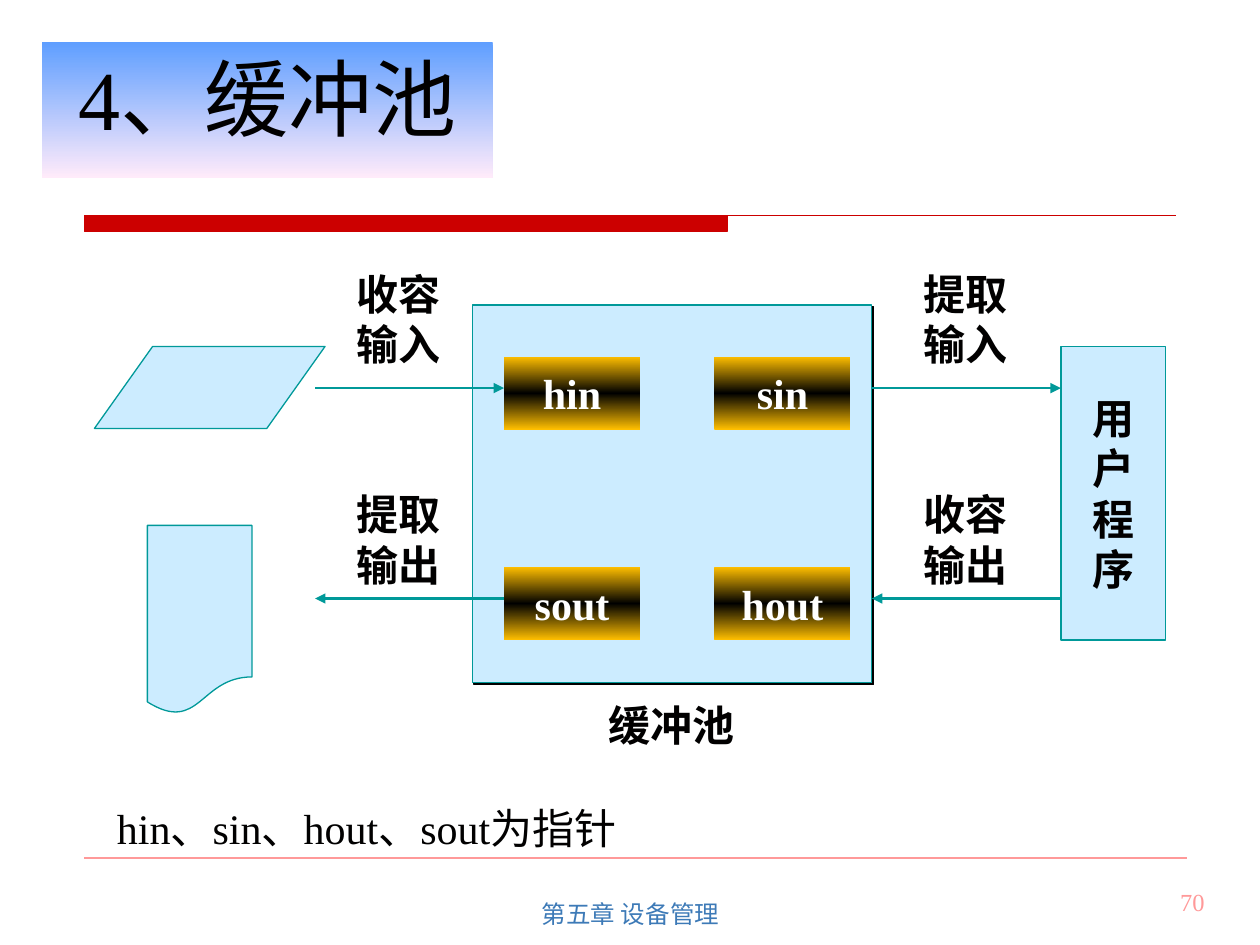
from copy import deepcopy
from dataclasses import dataclass

from lxml import etree
from pptx import Presentation
from pptx.dml.color import RGBColor
from pptx.enum.shapes import MSO_CONNECTOR, MSO_SHAPE
from pptx.enum.text import MSO_ANCHOR, MSO_AUTO_SIZE, PP_ALIGN
from pptx.oxml.ns import qn
from pptx.util import Inches, Pt

RECTANGLE = MSO_SHAPE.RECTANGLE
PARALLELOGRAM = MSO_SHAPE.PARALLELOGRAM
DOCUMENT = MSO_SHAPE.FLOWCHART_DOCUMENT
STRAIGHT = MSO_CONNECTOR.STRAIGHT
LEFT, CENTER, RIGHT = PP_ALIGN.LEFT, PP_ALIGN.CENTER, PP_ALIGN.RIGHT
TOP, MIDDLE = MSO_ANCHOR.TOP, MSO_ANCHOR.MIDDLE
NO_AUTOFIT = MSO_AUTO_SIZE.NONE


@dataclass(frozen=True)
class Theme:
    ink: str = "010000"
    white: str = "FFFFFF"
    pale_blue: str = "CCECFF"
    teal: str = "009999"
    red: str = "CC0000"
    pink: str = "FF9999"
    footer_blue: str = "3D7AB7"
    title_gradient: tuple[str, ...] = ("5E9EFF", "FFEBFA")
    pointer_gradient: tuple[str, ...] = ("FFBF00", "000000", "FFBF00")
    serif: str = "Times New Roman"
    sans: str = "Arial"
    title_size: int = 48
    body_size: int = 24
    small_size: int = 14
    thin: float = 0.75
    thick: float = 1.5


THEME = Theme()


@dataclass(frozen=True)
class Box:
    left: float
    top: float
    width: float
    height: float

    def lengths(self) -> tuple:
        return tuple(map(Inches, (self.left, self.top, self.width, self.height)))


@dataclass(frozen=True)
class TextStyle:
    size: int = THEME.body_size
    color: str = THEME.ink
    bold: bool = True
    font: str = THEME.serif
    align: PP_ALIGN = CENTER
    anchor: MSO_ANCHOR = TOP
    wrap: bool = True


@dataclass(frozen=True)
class Line:
    start: tuple[float, float]
    end: tuple[float, float]
    color: str = THEME.teal
    width: float = THEME.thick
    arrow: bool = True


def write(shape, text: str, style: TextStyle) -> None:
    frame = shape.text_frame
    frame.text = text
    frame.word_wrap = style.wrap
    frame.auto_size = NO_AUTOFIT
    frame.vertical_anchor = style.anchor
    for paragraph in frame.paragraphs:
        paragraph.alignment = style.align
        for run in paragraph.runs:
            run.font.name = style.font
            run.font.size = Pt(style.size)
            run.font.bold = style.bold
            run.font.color.rgb = RGBColor.from_string(style.color)


def fill_gradient(shape, colors: tuple[str, ...]) -> None:
    shape.fill.gradient()
    shape.fill.gradient_angle = 270
    stop_list = shape._element.spPr.find(".//" + qn("a:gsLst"))
    for _ in colors[2:]:
        stop_list.append(deepcopy(stop_list[-1]))
    for index, (stop, color) in enumerate(zip(shape.fill.gradient_stops, colors)):
        stop.position = index / (len(colors) - 1)
        stop.color.rgb = RGBColor.from_string(color)


def add_panel(slide, kind: MSO_SHAPE, box: Box,
              fill: str = THEME.pale_blue, outline: str = THEME.teal):
    shape = slide.shapes.add_shape(kind, *box.lengths())
    shape.shadow.inherit = False
    shape.fill.solid()
    shape.fill.fore_color.rgb = RGBColor.from_string(fill)
    shape.line.color.rgb = RGBColor.from_string(outline)
    shape.line.width = Pt(THEME.thin)
    return shape


def add_hard_shadow(shape) -> None:
    effects = shape._element.spPr.find(qn("a:effectLst"))
    shadow = etree.SubElement(effects, qn("a:outerShdw"), dist=str(Pt(1.4)),
                              dir="2700000", algn="ctr", rotWithShape="0")
    etree.SubElement(shadow, qn("a:srgbClr"), val=THEME.ink)


def add_pointer(slide, text: str, left: float, top: float) -> None:
    shape = slide.shapes.add_shape(RECTANGLE, *Box(left, top, 1.08, 0.58).lengths())
    shape.shadow.inherit = False
    fill_gradient(shape, THEME.pointer_gradient)
    shape.line.fill.background()
    write(shape, text, TextStyle(color=THEME.white, anchor=MIDDLE, wrap=False))


def add_text(slide, text: str, box: Box, style: TextStyle) -> None:
    write(slide.shapes.add_textbox(*box.lengths()), text, style)


def add_line(slide, line: Line) -> None:
    connector = slide.shapes.add_connector(
        STRAIGHT, *map(Inches, (*line.start, *line.end)))
    connector.line.color.rgb = RGBColor.from_string(line.color)
    connector.line.width = Pt(line.width)
    if line.arrow:
        etree.SubElement(connector.line._get_or_add_ln(), qn("a:tailEnd"), type="triangle")
    etree.SubElement(connector._element.spPr, qn("a:effectLst"))


def add_title(slide, text: str) -> None:
    title = slide.shapes.title
    title.left, title.top, title.width, title.height = Box(0.33, 0.33, 3.58, 1.08).lengths()
    fill_gradient(title, THEME.title_gradient)
    write(title, text, TextStyle(size=THEME.title_size, bold=False, anchor=MIDDLE))
    title.text_frame.paragraphs[0].line_spacing = 0.7


def add_frame(slide) -> None:
    add_line(slide, Line((0.67, 6.81), (9.42, 6.81), THEME.pink, THEME.thin, False))
    add_line(slide, Line((0.67, 1.71), (9.33, 1.71), THEME.red, THEME.thin, False))
    add_panel(slide, RECTANGLE, Box(0.67, 1.71, 5.1, 0.13), THEME.red, THEME.red)
    add_text(slide, "70", Box(7.58, 6.99, 2.08, 0.5),
             TextStyle(THEME.small_size, THEME.pink, bold=False, align=RIGHT))
    add_text(slide, "第五章 设备管理", Box(3.42, 7, 3.17, 0.5),
             TextStyle(THEME.small_size, THEME.footer_blue, False, THEME.sans, anchor=MIDDLE))


def add_diagram(slide) -> None:
    add_hard_shadow(add_panel(slide, RECTANGLE, Box(3.75, 2.42, 3.17, 3)))
    source = add_panel(slide, PARALLELOGRAM, Box(0.75, 2.75, 1.83, 0.65))
    source.adjustments[0] = 0.71
    add_panel(slide, DOCUMENT, Box(1.17, 4.17, 0.83, 1.5))
    program = add_panel(slide, RECTANGLE, Box(8.42, 2.75, 0.83, 2.33))
    write(program, "\n".join("用户程序"), TextStyle(anchor=MIDDLE, wrap=False))

    for top, names in ((2.83, ("hin", "sin")), (4.5, ("sout", "hout"))):
        for left, name in zip((4, 5.67), names):
            add_pointer(slide, name, left, top)

    for left, right in ((2.5, 4), (6.92, 8.42)):
        add_line(slide, Line((left, 3.08), (right, 3.08)))
        add_line(slide, Line((right, 4.75), (left, 4.75)))

    for top, labels in ((2.08, ("收容输入", "提取输入")), (3.83, ("提取输出", "收容输出"))):
        for left, label in zip((2.58, 7.08), labels):
            add_text(slide, label, Box(left, top, 1.17, 0.9), TextStyle())
    add_text(slide, "缓冲池", Box(4.08, 5.5, 2.5, 0.5), TextStyle())
    add_text(slide, "hin、sin、hout、sout为指针", Box(0.83, 6.32, 8.43, 0.5),
             TextStyle(bold=False, align=LEFT))


def main() -> None:
    presentation = Presentation()
    presentation.slide_width = Inches(10)
    presentation.slide_height = Inches(7.5)
    slide = presentation.slides.add_slide(presentation.slide_layouts[5])
    add_frame(slide)
    add_title(slide, "4、缓冲池")
    add_diagram(slide)
    presentation.save("out.pptx")


if __name__ == "__main__":
    main()
